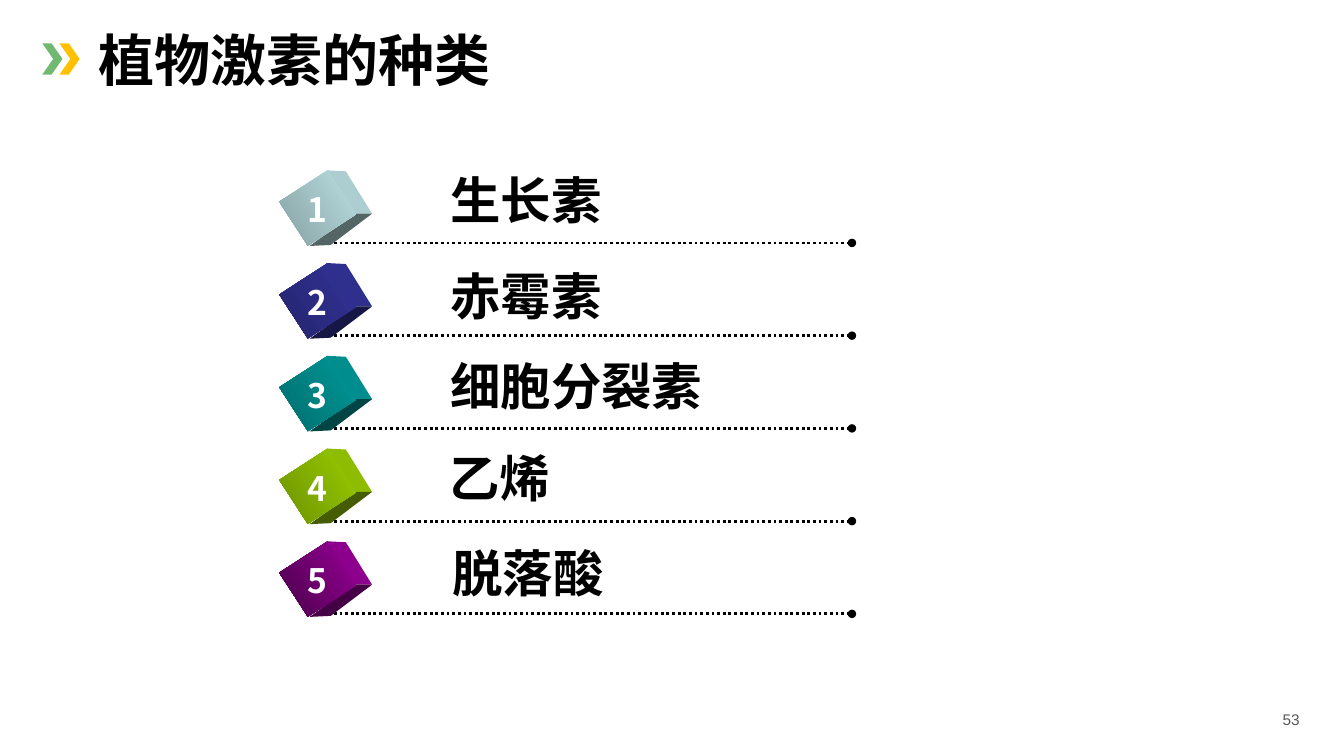
"""Build the slide that lists the kinds of plant hormones."""
from dataclasses import dataclass

from lxml.etree import SubElement
from pptx import Presentation
from pptx.dml.color import RGBColor
from pptx.enum.dml import MSO_LINE
from pptx.enum.shapes import MSO_CONNECTOR, MSO_SHAPE
from pptx.enum.text import MSO_ANCHOR, MSO_AUTO_SIZE, PP_ALIGN
from pptx.oxml.ns import qn
from pptx.util import Inches, Pt


@dataclass(frozen=True)
class Theme:
    """Colours, fonts and type sizes of the slide."""
    ink: str = "000000"
    white: str = "FFFFFF"
    gray: str = "595959"
    chevrons: tuple = ("71B871", "FFC000")
    font: str = "Noto Sans CJK SC"
    number_font: str = "Arial"
    title_size: int = 40
    label_size: int = 36
    cube_size: int = 24
    page_size: int = 11


THEME = Theme()
FIRST_LINE = 2.41
ROW_PITCH = 0.92
RIGHT_FACE = [(3.24, -0.72), (3.43, -0.71), (3.69, -0.29), (3.52, -0.29)]
BOTTOM_FACE = [(3.52, -0.29), (3.69, -0.29), (3.28, 0.02), (3.07, 0.03)]
HORMONES = [
    ("生长素", (4.37, 1.63, 2.43, 0.71), PP_ALIGN.LEFT, "BBE0E3", "86A0A2"),
    ("赤霉素", (4.37, 2.58, 2.43, 0.71), PP_ALIGN.LEFT, "333399", "24246D"),
    ("细胞分裂素", (3.96, 3.47, 3.51, 0.71), PP_ALIGN.CENTER, "009999", "006D6D"),
    ("乙烯", (4.36, 4.39, 2.28, 0.71), PP_ALIGN.LEFT, "99CC00", "6D9200"),
    ("脱落酸", (4.39, 5.33, 2.67, 0.71), PP_ALIGN.LEFT, "990099", "470047"),
]


def shade(color, factor):
    """Return a hex colour darkened by a factor."""
    return "".join(f"{round(channel * factor):02X}" for channel in RGBColor.from_string(color))


def set_text(box, text, size, color=THEME.ink, align=PP_ALIGN.LEFT, wrap=False,
             grow=True, font=THEME.font, bold=True):
    """Write one formatted paragraph into a shape."""
    frame = box.text_frame
    frame_format = {
        "word_wrap": wrap,
        "vertical_anchor": MSO_ANCHOR.TOP,
        "auto_size": MSO_AUTO_SIZE.SHAPE_TO_FIT_TEXT if grow else MSO_AUTO_SIZE.NONE,
    }
    for name, value in frame_format.items():
        setattr(frame, name, value)
    para = frame.paragraphs[0]
    para.alignment = align
    span = para.add_run()
    span.text = text
    for name, value in {"name": font, "size": Pt(size), "bold": bold}.items():
        setattr(span.font, name, value)
    span.font.color.rgb = RGBColor.from_string(color)
    SubElement(span.font._element, qn("a:ea")).set("typeface", font)


def add_text(page, area, text, size, **options):
    """Add a text box."""
    box = page.shapes.add_textbox(*map(Inches, area))
    set_text(box, text, size, **options)


def paint(shape, color):
    """Give a shape a plain fill without line or shadow."""
    shape.shadow.inherit = False
    shape.line.fill.background()
    shape.fill.solid()
    shape.fill.fore_color.rgb = RGBColor.from_string(color)


def add_title(page, text):
    """Place the chevrons and the slide title."""
    for index, color in enumerate(THEME.chevrons):
        area = (0.42 + 0.17 * index, 0.43, 0.2, 0.31)
        chevron = page.shapes.add_shape(MSO_SHAPE.CHEVRON, *map(Inches, area))
        chevron.adjustments[0] = 0.54
        paint(chevron, color)
    title = page.shapes.title
    place = {"left": 0.88, "top": 0.2, "width": 4.13, "height": 0.77}
    for name, value in place.items():
        setattr(title, name, Inches(value))
    set_text(title, text, THEME.title_size)


def add_rule(page, y):
    """Draw a dotted line that ends in a dot."""
    rule = page.shapes.add_connector(
        MSO_CONNECTOR.STRAIGHT, Inches(3.2), Inches(y), Inches(8.45), Inches(y))
    rule.line.width = Pt(2)
    rule.line.color.rgb = RGBColor.from_string(THEME.ink)
    rule.line.dash_style = MSO_LINE.ROUND_DOT
    SubElement(rule.line._get_or_add_ln(), qn("a:tailEnd")).set("type", "oval")
    SubElement(rule._element.spPr, qn("a:effectLst"))


def add_face(page, points, y, color):
    """Draw one side face of a cube."""
    corners = [(Inches(x), Inches(y + offset)) for x, offset in points]
    builder = page.shapes.build_freeform(*corners[0])
    builder.add_line_segments(corners[1:], close=True)
    paint(builder.convert_to_shape(), color)


def add_cube(page, y, number, light, dark):
    """Draw a numbered cube that stands on a dotted line."""
    add_face(page, RIGHT_FACE, y, shade(light, 0.92))
    add_face(page, BOTTOM_FACE, y, shade(light, 0.45))
    area = (2.89, y - 0.63, 0.52, 0.57)
    front = page.shapes.add_shape(MSO_SHAPE.RECTANGLE, *map(Inches, area))
    front.rotation = 57
    front.shadow.inherit = False
    front.line.fill.background()
    front.fill.gradient()
    front.fill.gradient_angle = 270
    for stop, color in zip(front.fill.gradient_stops, (light, dark)):
        stop.color.rgb = RGBColor.from_string(color)
    add_text(page, (2.94, y - 0.58, 0.41, 0.5), str(number), THEME.cube_size,
             color=THEME.white, align=PP_ALIGN.CENTER)


def main():
    """Build and save the deck."""
    deck = Presentation()
    deck.slide_width = Inches(13.33)
    deck.slide_height = Inches(7.5)
    page = deck.slides.add_slide(deck.slide_layouts[5])
    add_title(page, "植物激素的种类")
    for index, (name, area, align, light, dark) in enumerate(HORMONES):
        y = FIRST_LINE + ROW_PITCH * index
        add_rule(page, y)
        add_cube(page, y, index + 1, light, dark)
        add_text(page, area, name, THEME.label_size, align=align, wrap=True)
    add_text(page, (12.34, 7, 0.65, 0.43), "53", THEME.page_size, color=THEME.gray,
             align=PP_ALIGN.RIGHT, wrap=True, grow=False,
             font=THEME.number_font, bold=False)
    deck.save("out.pptx")


if __name__ == "__main__":
    main()
